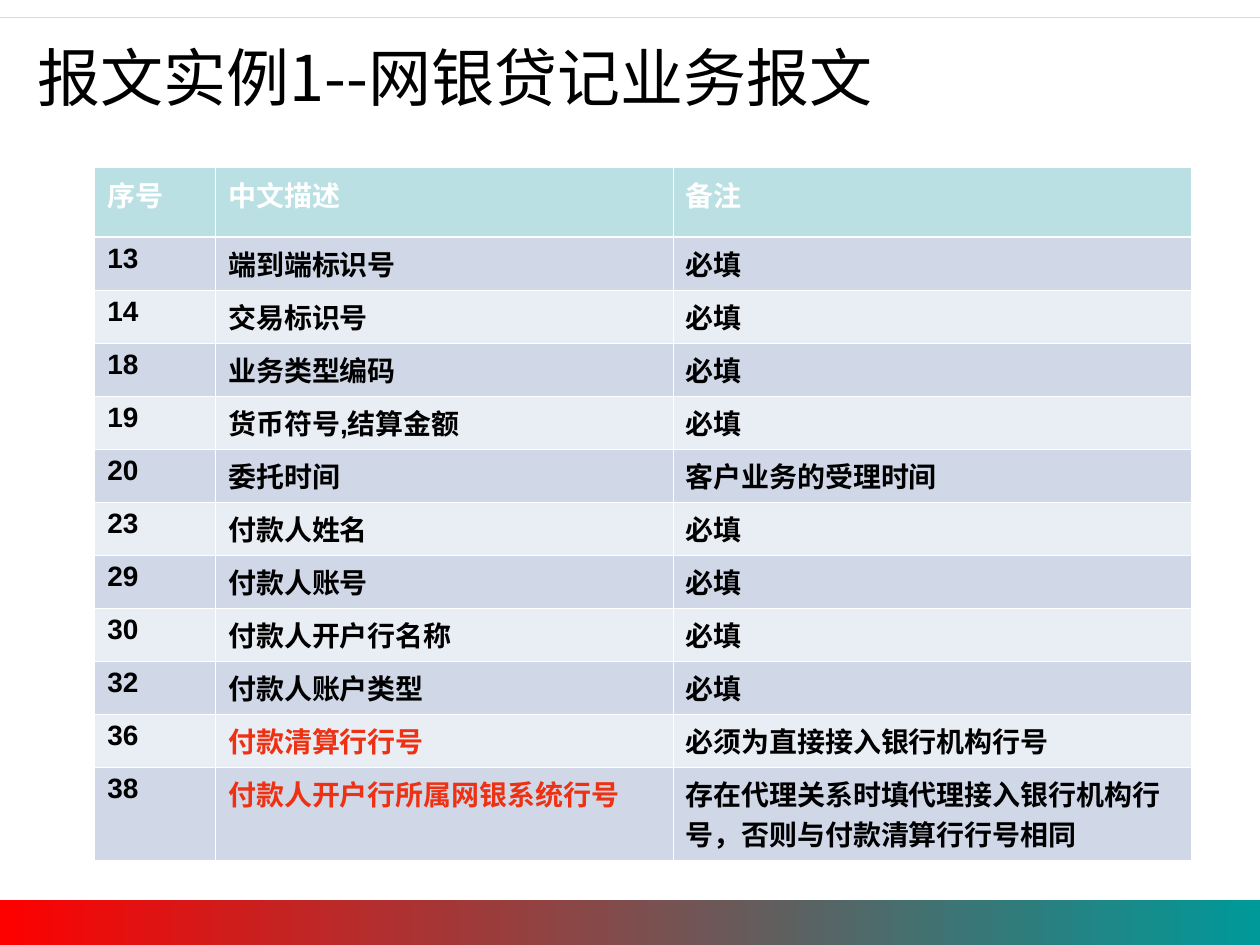
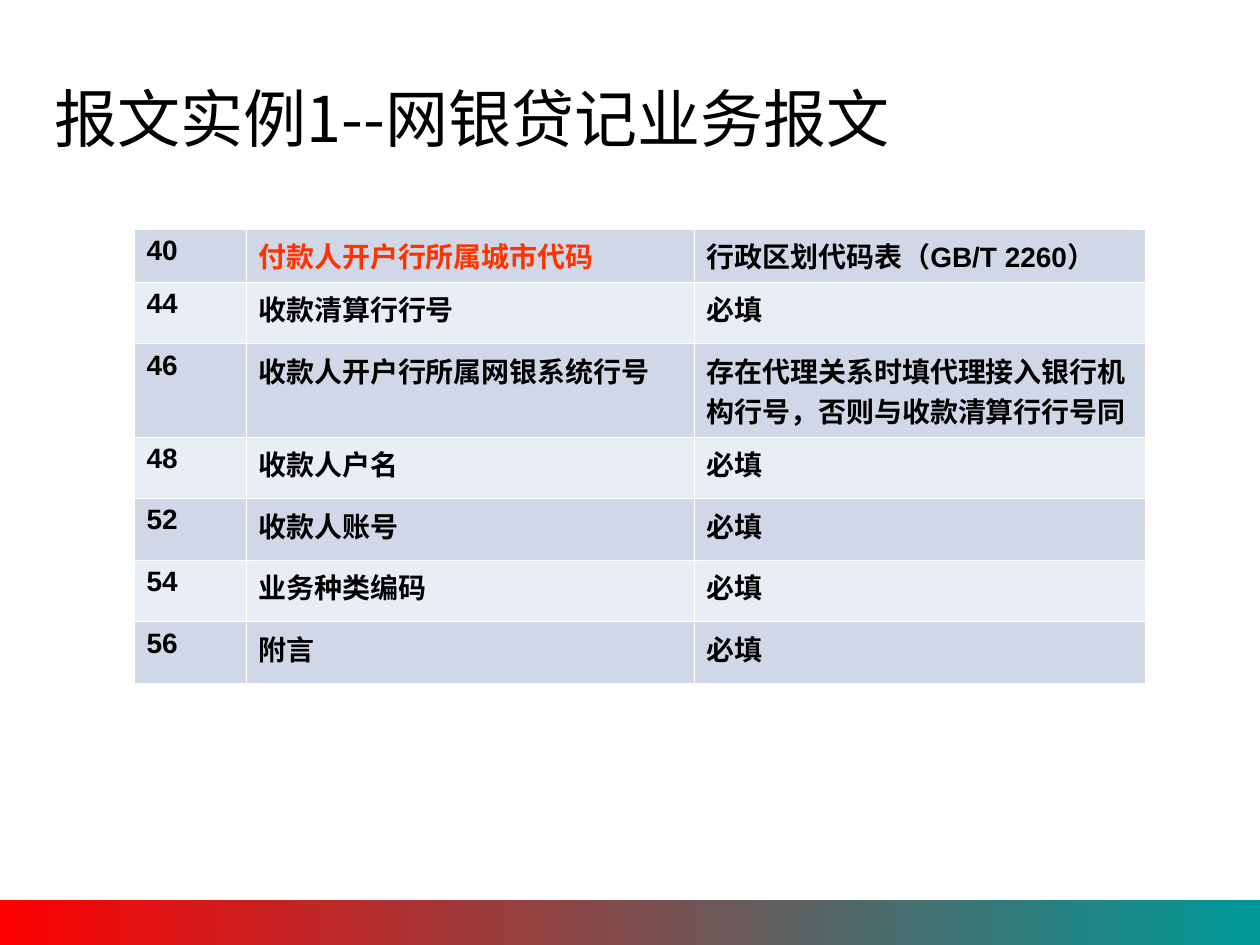
from dataclasses import dataclass

from lxml.etree import SubElement
from pptx import Presentation
from pptx.dml.color import RGBColor as RGB
from pptx.enum.shapes import MSO_CONNECTOR as Connector, MSO_SHAPE as Shape
from pptx.enum.text import MSO_ANCHOR as Anchor, MSO_AUTO_SIZE as AutoSize, PP_ALIGN as Align
from pptx.oxml.ns import qn
from pptx.util import Cm, Pt


@dataclass(frozen=True)
class Theme:
    black: str = "000000"
    white: str = "FFFFFF"
    rule: str = "D9D9D9"
    band_start: str = "009999"
    band_end: str = "FF0000"
    header: str = "BBE0E3"
    row_dark: str = "D0D8E8"
    row_light: str = "E9EDF4"
    red: str = "EE3112"
    orange: str = "FF3300"
    latin: str = "Arial"
    cjk: str = "Noto Sans CJK SC"
    title_size: int = 36
    cell_size: int = 16
    thin: float = 0.45
    thick: float = 1.47


T = Theme()
TITLE = "报文实例1--网银贷记业务报文"
REQUIRED = "必填"

# Table content: number, description, note
HEADER = ("序号", "中文描述", "备注")
PAYER_ROWS = [
    ("13", "端到端标识号", REQUIRED),
    ("14", "交易标识号", REQUIRED),
    ("18", "业务类型编码", REQUIRED),
    ("19", "货币符号,结算金额", REQUIRED),
    ("20", "委托时间", "客户业务的受理时间"),
    ("23", "付款人姓名", REQUIRED),
    ("29", "付款人账号", REQUIRED),
    ("30", "付款人开户行名称", REQUIRED),
    ("32", "付款人账户类型", REQUIRED),
    ("36", "付款清算行行号", "必须为直接接入银行机构行号"),
    ("38", "付款人开户行所属网银系统行号",
     "存在代理关系时填代理接入银行机构行号，否则与付款清算行行号相同"),
]
PAYEE_ROWS = [
    ("40", "付款人开户行所属城市代码", "行政区划代码表（GB/T 2260）"),
    ("44", "收款清算行行号", REQUIRED),
    ("46", "收款人开户行所属网银系统行号",
     "存在代理关系时填代理接入银行机构行号，否则与收款清算行行号同"),
    ("48", "收款人户名", REQUIRED),
    ("52", "收款人账号", REQUIRED),
    ("54", "业务种类编码", REQUIRED),
    ("56", "附言", REQUIRED),
]


def set_font(p, latin, size, color, bold=False):
    p.font.name = latin
    p.font.size = Pt(size)
    p.font.bold = bold
    p.font.color.rgb = RGB.from_string(color)
    props = p._p.get_or_add_pPr().find(qn("a:defRPr"))
    SubElement(props, qn("a:ea"), typeface=T.cjk)


def add_master_band(prs, slide):
    """Draw the footer band, then move it to the master for all slides."""
    band = slide.shapes.add_shape(Shape.RECTANGLE, Cm(-0.1), Cm(18.14), Cm(25.5), Cm(1.12))
    band.shadow.inherit = False
    band.line.fill.background()
    band.fill.gradient()
    band.fill.gradient_angle = 180
    for stop, color in zip(band.fill.gradient_stops, (T.band_start, T.band_end)):
        stop.color.rgb = RGB.from_string(color)
    tree = prs.slide_master.shapes.element
    band.element.nvSpPr.cNvPr.set("id", "100")
    tree.insert(2, band.element)


def add_title(slide, left, top, width, height):
    title = slide.shapes.title
    title.left, title.top, title.width, title.height = map(Cm, (left, top, width, height))
    tf = title.text_frame
    tf.text = TITLE
    tf.word_wrap = True
    tf.auto_size = AutoSize.NONE
    tf.vertical_anchor = Anchor.MIDDLE
    p = tf.paragraphs[0]
    p.alignment = Align.LEFT
    set_font(p, T.cjk, T.title_size, T.black)


def add_top_rule(slide, y):
    line = slide.shapes.add_connector(Connector.STRAIGHT, Cm(0), Cm(y), Cm(25.4), Cm(y))
    line.line.color.rgb = RGB.from_string(T.rule)
    line.line.width = Pt(0.25)
    SubElement(line.element.spPr, qn("a:effectLst"))


def set_borders(cell, thick_sides):
    props = cell._tc.get_or_add_tcPr()
    for side in "LRTB":
        width = T.thick if side in thick_sides else T.thin
        line = SubElement(props, qn(f"a:ln{side}"), w=str(Pt(width)))
        SubElement(SubElement(line, qn("a:solidFill")), qn("a:srgbClr"), val=T.white)


def format_cell(cell, text, fill, color, thick_sides):
    set_borders(cell, thick_sides)
    cell.fill.solid()
    cell.fill.fore_color.rgb = RGB.from_string(fill)
    cell.text = text
    set_font(cell.text_frame.paragraphs[0], T.latin, T.cell_size, color, bold=True)


def add_field_table(slide, left, top, widths, heights, rows, accent, accented, header=None):
    """Banded field list; descriptions of the accented numbers get the accent colour."""
    all_rows = ([header] if header else []) + rows
    first_body = 1 if header else 0
    table = slide.shapes.add_table(len(all_rows), len(widths), Cm(left), Cm(top),
                                   Cm(sum(widths)), Cm(sum(heights))).table
    table.first_row = bool(header)
    table.horz_banding = False
    for column, width in zip(table.columns, widths):
        column.width = Cm(width)
    for i, (row, height, values) in enumerate(zip(table.rows, heights, all_rows)):
        row.height = Cm(height)
        is_header = i < first_body
        if is_header:
            fill, thick_sides = T.header, "B"
        else:
            fill = T.row_light if (i - first_body) % 2 else T.row_dark
            thick_sides = "T" if i == first_body else ""
        for j, (cell, text) in enumerate(zip(row.cells, values)):
            color = T.white if is_header else T.black
            if j == 1 and values[0] in accented:
                color = accent
            format_cell(cell, text, fill, color, thick_sides)


def main():
    prs = Presentation()
    prs.slide_width, prs.slide_height = Cm(25.4), Cm(19.05)
    title_only = prs.slide_layouts[5]

    # Slide 1: payer fields
    s = prs.slides.add_slide(title_only)
    add_master_band(prs, s)
    add_title(s, 0.51, 0.53, 22.86, 2.01)
    add_top_rule(s, 0.35)
    add_field_table(s, 1.91, 3.38, (2.44, 9.22, 10.44), [1.4] + [0.98] * 10 + [1.63],
                    PAYER_ROWS, T.red, {"36", "38"}, HEADER)

    # Slide 2: payee fields
    s = prs.slides.add_slide(title_only)
    add_field_table(s, 2.7, 4.62, (2.26, 9.04, 9.1), [1.02, 1.24, 1.65] + [1.24] * 4,
                    PAYEE_ROWS, T.orange, {"40"})
    add_title(s, 0.85, 1.47, 21.31, 1.78)

    prs.save("out.pptx")


if __name__ == "__main__":
    main()
